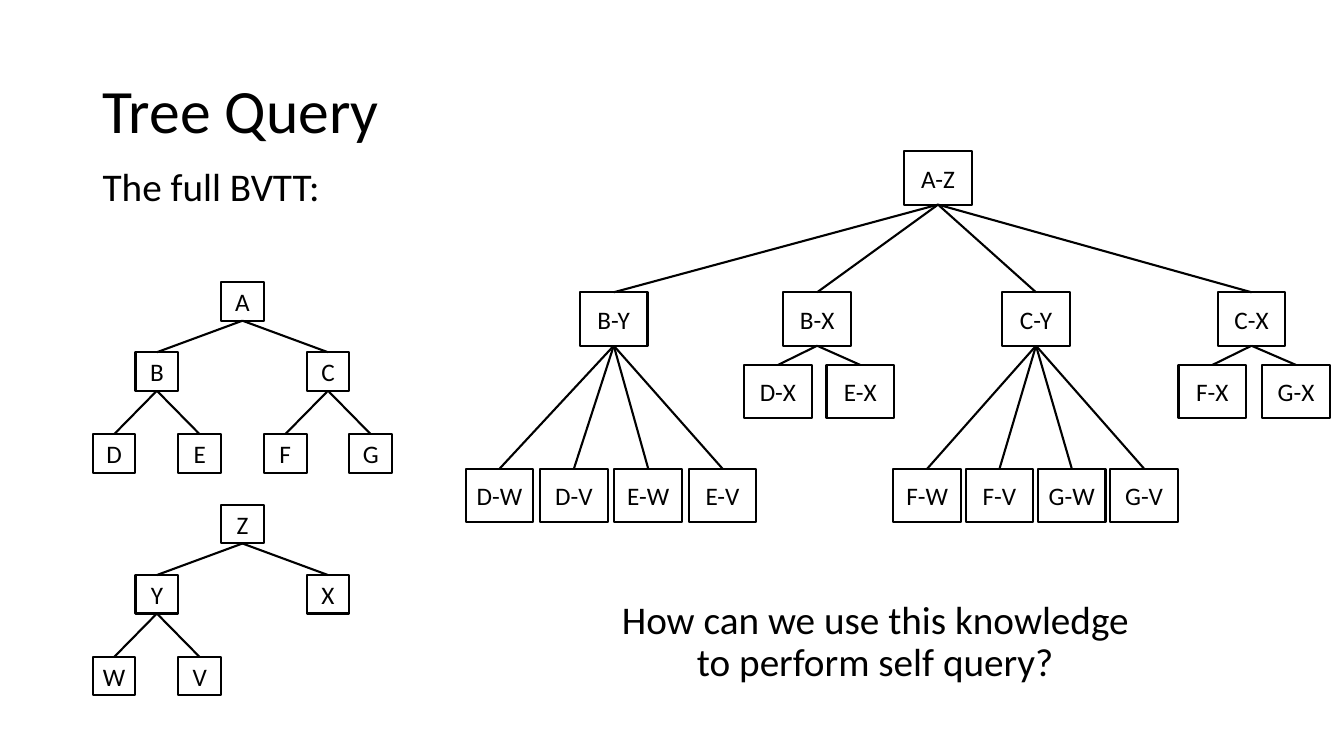
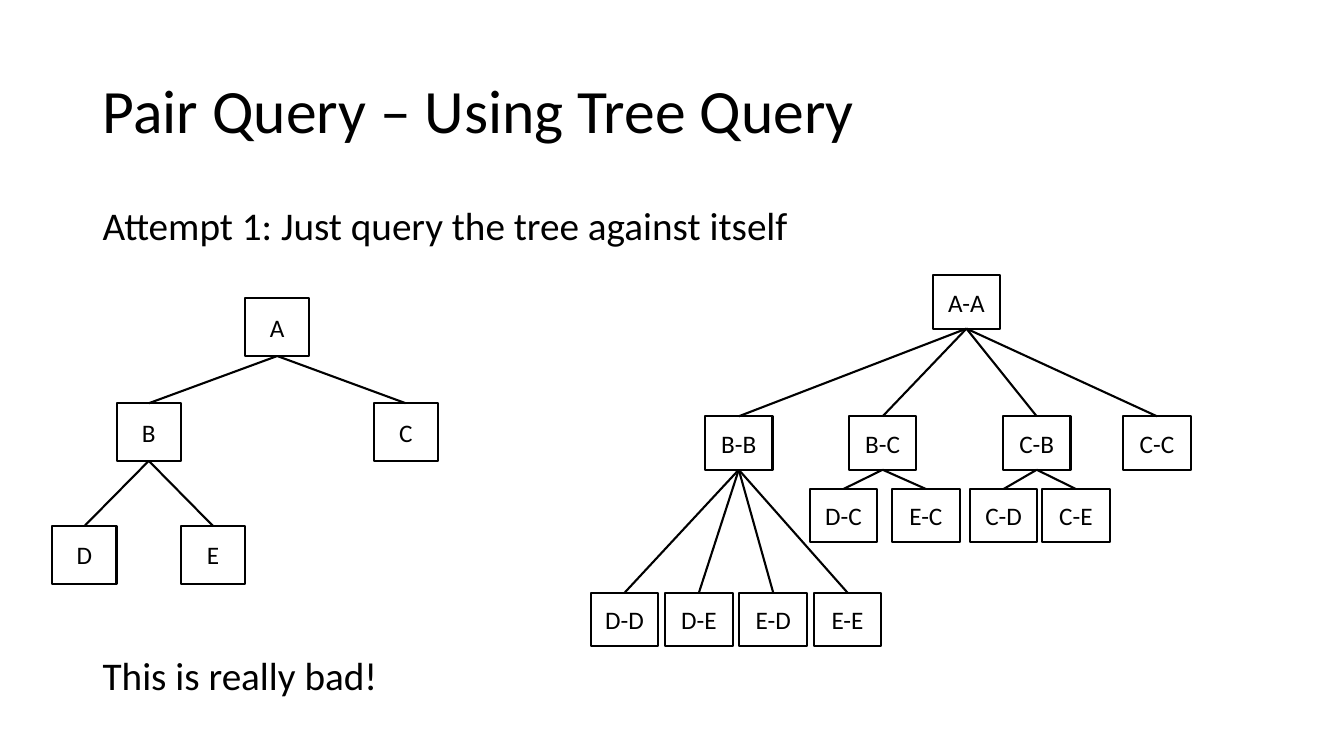
from pptx import Presentation
from pptx.dml.color import RGBColor
from pptx.enum.shapes import MSO_CONNECTOR, MSO_SHAPE
from pptx.enum.text import MSO_ANCHOR, MSO_AUTO_SIZE, PP_ALIGN
from pptx.oxml.ns import qn
from pptx.util import Inches, Pt

BLACK = RGBColor(0, 0, 0)
FONT = "Calibri"
RECT = MSO_SHAPE.RECTANGLE
LINE = MSO_CONNECTOR.STRAIGHT
LEFT, CENTER = PP_ALIGN.LEFT, PP_ALIGN.CENTER
TOP, MIDDLE = MSO_ANCHOR.TOP, MSO_ANCHOR.MIDDLE
NO_FIT = MSO_AUTO_SIZE.NONE

WIDE, HIGH = Inches(13.33), Inches(7.5)
TITLE_BOX = (6.9, 5.33, 86.27, 19.33)
BODY, FULL, LINE_H = 6.9, 86.27, 7.07

# Binary tree: column of each node in level order, and row of each level
SLOTS = (3, 1, 5, 0, 2, 4, 6)
LEVELS = (0, 1.82, 3.95)

# Pair tree: rows of the children, and of leaves by sibling count
CHILD_ROW = 2.64
LEAF_ROW = {2: 4, 4: 5.94}
PAIR_ROWS = 6.94

# Pair trees: label, column, leaves, first leaf column, leaf spacing
FULL_TREE = ("A-Z", 6.49, (
    ("B-Y", 1.69, "D-W D-V E-W E-V", 0, 1.1),
    ("B-X", 4.7, "D-X E-X", 4.12, 1.22),
    ("C-Y", 7.94, "F-W F-V G-W G-V", 6.33, 1.07),
    ("C-X", 11.13, "F-X G-X", 10.55, 1.24),
))
SELF_TREE = ("A-A", 5.06, (
    ("B-B", 1.69, "D-D D-E E-D E-E", 0, 1.1),
    ("B-C", 3.82, "D-C E-C", 3.24, 1.22),
    ("C-B", 6.1, "C-D C-E", 5.61, 1.07),
    ("C-C", 7.88, "", 0, 0),
))


def area(box):
    """Turn percent of the slide into lengths."""
    return [int(side * part / 100)
            for side, part in zip((WIDE, HIGH, WIDE, HIGH), box)]


def style(shape, text, size, align, anchor, spacing):
    frame = shape.text_frame
    frame.text = text
    frame.auto_size = NO_FIT
    frame.word_wrap = True
    frame.vertical_anchor = anchor
    para = frame.paragraphs[0]
    para.alignment = align
    para.line_spacing = spacing
    font = para.runs[0].font
    font.name, font.size = FONT, Pt(size)
    font.color.rgb = BLACK


def start(deck, text):
    """Add a slide with its title."""
    slide = deck.slides.add_slide(deck.slide_layouts[5])
    title = slide.shapes.title
    title.left, title.top, title.width, title.height = area(TITLE_BOX)
    style(title, text, 44, LEFT, MIDDLE, 0.9)
    return slide


def note(slide, box, text, align=LEFT):
    shape = slide.shapes.add_textbox(*area(box))
    style(shape, text, 28, align, TOP, 0.9)


def node(slide, grid, col, row, text):
    """Add a box one column wide and one row high."""
    left, top, wide, high = grid
    shape = slide.shapes.add_shape(
        RECT, int(left + col * wide), int(top + row * high),
        int(wide), int(high))
    shape.shadow.inherit = False
    shape.fill.background()
    shape.line.color.rgb = BLACK
    shape.line.width = Pt(1.5)
    style(shape, text, 18, CENTER, MIDDLE, 1.0)
    frame = shape.text_frame
    frame.margin_left = frame.margin_right = 0
    frame.margin_top = frame.margin_bottom = 0
    return shape


def link(slide, parent, child):
    line = slide.shapes.add_connector(LINE, 0, 0, 0, 0)
    line.begin_connect(parent, 2)
    line.end_connect(child, 0)
    line.line.color.rgb = BLACK
    line.line.width = Pt(1.5)
    props = line._element.spPr
    props.append(props.makeelement(qn("a:effectLst"), {}))


def split(box, cols, rows):
    left, top, wide, high = area(box)
    return left, top, wide / cols, high / rows


def binary(slide, box, names):
    """Draw a binary tree whose names come in level order."""
    grid = split(box, len(SLOTS), LEVELS[-1] + 1)
    nodes = []
    for i, name in enumerate(names):
        level = (i + 1).bit_length() - 1
        nodes.append(node(slide, grid, SLOTS[i], LEVELS[level], name))
        if i:
            link(slide, nodes[(i - 1) // 2], nodes[i])


def pairs(slide, box, cols, tree):
    """Draw a tree of node pairs on a grid of node-sized cells."""
    grid = split(box, cols, PAIR_ROWS)
    name, col, kids = tree
    root = node(slide, grid, col, 0, name)
    for name, col, leaves, first, step in kids:
        kid = node(slide, grid, col, CHILD_ROW, name)
        link(slide, root, kid)
        labels = leaves.split()
        for i, label in enumerate(labels):
            row = LEAF_ROW[len(labels)]
            leaf = node(slide, grid, first + i * step, row, label)
            link(slide, kid, leaf)


def tree_query(deck):
    slide = start(deck, "Tree Query")
    note(slide, (BODY, 21.47, FULL, LINE_H), "The full BVTT:")
    binary(slide, (BODY, 37.33, 22.28, 25.2), "ABCDEFG")
    binary(slide, (BODY, 66.8, 22.28, 25.2), "ZYXWV")
    pairs(slide, (34.66, 20, 64.29, 49.07), 12.79, FULL_TREE)
    note(slide, (45.24, 78.8, 39.76, 14.13),
         "How can we use this knowledge to perform self query?", CENTER)


def pair_query(deck):
    slide = start(deck, "Pair Query – Using Tree Query")
    note(slide, (BODY, 26.67, FULL, LINE_H),
         "Attempt 1: Just query the tree against itself")
    binary(slide, (3.9, 39.47, 33.46, 37.73), "ABCDE")
    pairs(slide, (43.96, 36.4, 44.64, 49.07), 8.88, SELF_TREE)
    note(slide, (BODY, 86.13, FULL, LINE_H), "This is really bad!")


def main():
    deck = Presentation()
    deck.slide_width, deck.slide_height = WIDE, HIGH
    tree_query(deck)
    pair_query(deck)
    deck.save("out.pptx")


if __name__ == "__main__":
    main()
